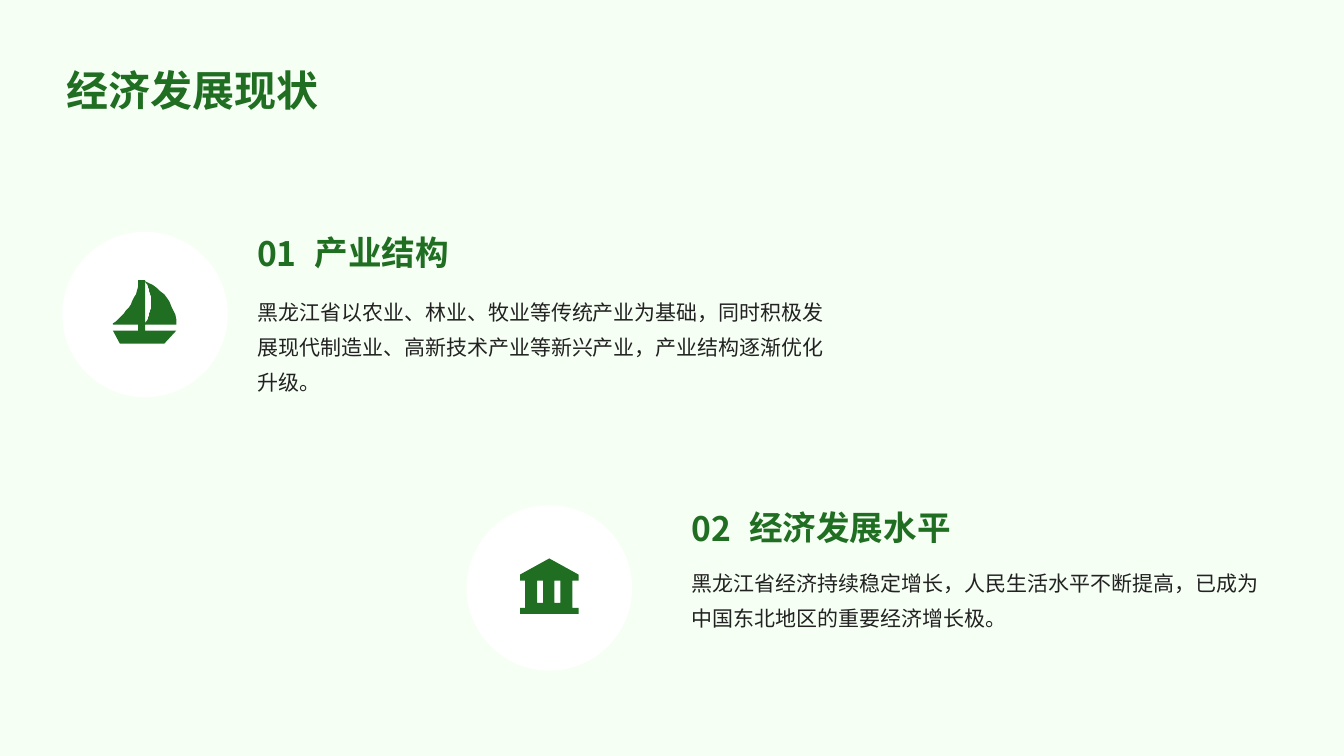
import pptx
import pptx.util
import pptx.dml.color
import pptx.enum.shapes
import pptx.enum.text
import pptx.oxml.ns
from lxml import etree

Cm = pptx.util.Cm
RGB = pptx.dml.color.RGBColor.from_string
ANCHOR = pptx.enum.text.MSO_ANCHOR
qn = pptx.oxml.ns.qn

COLORS = {"bg": "F6FFF4", "green": "1F6E21", "text": "222222", "circle": "FFFFFF"}
FONT = "Noto Sans CJK SC"
ICON_UNIT = Cm(0.0254)  # icon outlines are in hundredths of an inch


def write(sp, text, size, color, bold, spacing, anchor, insets=(0.18, 0.1, 0.18, 0.1)):
    tf = sp.text_frame
    tf.word_wrap = True
    tf.auto_size = pptx.enum.text.MSO_AUTO_SIZE.NONE
    tf.vertical_anchor = anchor
    tf.margin_left, tf.margin_top, tf.margin_right, tf.margin_bottom = map(Cm, insets)
    p = tf.paragraphs[0]
    p.text = text
    p.alignment = pptx.enum.text.PP_ALIGN.LEFT
    p.line_spacing = spacing
    p.font.size = pptx.util.Pt(size)
    p.font.bold = bold
    p.font.color.rgb = RGB(COLORS[color])
    p.font.name = FONT
    # East Asian typeface follows the Latin one
    etree.SubElement(p._p.pPr.find(qn("a:defRPr")), qn("a:ea"), typeface=FONT)


def curve(a, b, c, d, steps=12):
    """Points along a cubic curve from a to d."""
    points = []
    for i in range(steps + 1):
        t = i / steps
        u = 1 - t
        points.append(tuple(u**3 * a[k] + 3 * u * u * t * b[k] + 3 * u * t * t * c[k]
                            + t**3 * d[k] for k in (0, 1)))
    return points


prs = pptx.Presentation()
prs.slide_width, prs.slide_height = Cm(33.87), Cm(19.05)
s = prs.slides.add_slide(prs.slide_layouts[5])
s.background.fill.solid()
s.background.fill.fore_color.rgb = RGB(COLORS["bg"])

# Title
title = s.shapes.title
title.left, title.top, title.width, title.height = Cm(1.32), Cm(0.74), Cm(31.22), Cm(2.54)
write(title, "经济发展现状", 30, "green", True, 1.4, ANCHOR.MIDDLE, (0.36, 0.36, 0.15, 0.36))

# Sailing boat: mast, left sail and hull, then right sail
boat = [
    [(137, 284), (137, 278), (144, 278), (144, 328), (175, 328), (163, 341), (119, 341),
     (112, 328), (137, 328), (137, 322), (112, 322)]
    + curve((112, 321), (124, 312), (133, 299), (137, 285)),
    [(175, 322), (144, 322)]
    + curve((144, 321), (148, 315), (150, 308), (150, 300))
    + curve((150, 300), (150, 292), (148, 285), (144, 279))
    + curve((144, 279), (161, 286), (174, 302), (175, 322)),
]

# Public building: roof, then steps and columns as left, top, right, bottom
building = [[(516, 570), (545, 554), (574, 570), (574, 576), (516, 576)]]
for x1, y1, x2, y2 in [(516, 603, 574, 609), (521, 598, 568, 603), (521, 576, 533, 598),
                       (539, 576, 550, 598), (556, 576, 568, 598)]:
    building.append([(x1, y1), (x2, y1), (x2, y2), (x1, y2)])

# Items: number, heading, body, circle left/top, text left/top, body top, icon
items = [
    ("01", "产业结构",
     "黑龙江省以农业、林业、牧业等传统产业为基础，同时积极发展现代制造业、高新技术产业等新兴产业，产业结构逐渐优化升级。",
     1.57, 5.84, 6.3, 5.36, 7.19, boat),
    ("02", "经济发展水平",
     "黑龙江省经济持续稳定增长，人民生活水平不断提高，已成为中国东北地区的重要经济增长极。",
     11.76, 12.73, 17.25, 12.3, 14.02, building),
]
for number, heading, body, cx, cy, x, y, body_y, icon in items:
    # Text
    sp = s.shapes.add_textbox(Cm(x), Cm(y), Cm(1.83), Cm(1.83))
    write(sp, number, 24, "green", True, 1.2, ANCHOR.MIDDLE)
    sp = s.shapes.add_textbox(Cm(x + 1.45), Cm(y + 0.23), Cm(8.31), Cm(1.37))
    write(sp, heading, 24, "green", True, 1.2, ANCHOR.BOTTOM)
    sp = s.shapes.add_textbox(Cm(x), Cm(body_y), Cm(15.09), Cm(2.97))
    write(sp, body, 15, "text", False, 1.4, ANCHOR.TOP)

    # Circle and icon
    circle = s.shapes.add_shape(pptx.enum.shapes.MSO_SHAPE.OVAL,
                                Cm(cx), Cm(cy), Cm(4.17), Cm(4.17))
    builder = s.shapes.build_freeform(*icon[0][0], scale=ICON_UNIT)
    for i, outline in enumerate(icon):
        if i:
            builder.move_to(*outline[0])
        builder.add_line_segments(outline[1:], close=True)
    for sp, color in ((circle, "circle"), (builder.convert_to_shape(), "green")):
        sp.shadow.inherit = False
        sp.fill.solid()
        sp.fill.fore_color.rgb = RGB(COLORS[color])
        sp.line.fill.background()

prs.save("out.pptx")
